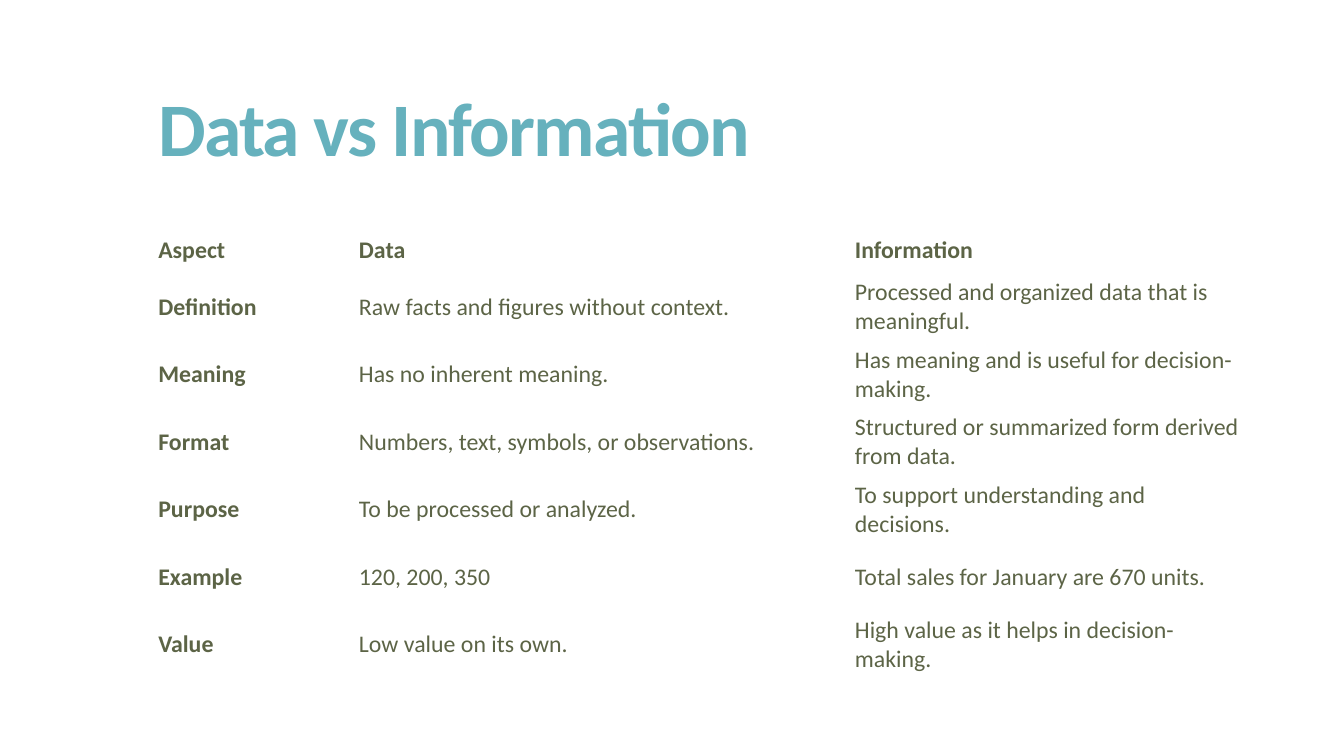
"""Build a slide that compares data with information in a table."""
import dataclasses

import pptx
import pptx.dml.color
import pptx.enum.text
import pptx.util

Inches = pptx.util.Inches


@dataclasses.dataclass(frozen=True)
class Theme:
    font: str = "Calibri"
    title_color: str = "66B1BD"
    text_color: str = "5C6446"
    title_size: int = 54
    text_size: int = 17


theme = Theme()


def write(frame, text, *, size, color, bold=False, line_spacing=None, tracking=None):
    """Put one formatted run into a text frame."""
    para = frame.paragraphs[0]
    para.line_spacing = line_spacing
    span = para.add_run()
    span.text = text
    span.font.name = theme.font
    span.font.size = pptx.util.Pt(size)
    span.font.bold = bold
    span.font.color.rgb = pptx.dml.color.RGBColor.from_string(color)
    if tracking is not None:
        span.font._element.set("spc", str(round(tracking * 100)))


deck = pptx.Presentation()
deck.slide_width = Inches(13.33)
deck.slide_height = Inches(7.5)
page = deck.slides.add_slide(deck.slide_layouts[6])

left = Inches(1.47)
title = page.shapes.add_textbox(left, Inches(0.6), Inches(9.4), Inches(1.44))
title.text_frame.word_wrap = True
title.text_frame.vertical_anchor = pptx.enum.text.MSO_ANCHOR.MIDDLE
write(title.text_frame, "Data vs Information", size=theme.title_size,
      color=theme.title_color, bold=True, line_spacing=0.85, tracking=-1.2)

rows = [
    ("Aspect", "Data", "Information"),
    ("Definition", "Raw facts and figures without context.",
     "Processed and organized data that is meaningful."),
    ("Meaning", "Has no inherent meaning.",
     "Has meaning and is useful for decision-making."),
    ("Format", "Numbers, text, symbols, or observations.",
     "Structured or summarized form derived from data."),
    ("Purpose", "To be processed or analyzed.",
     "To support understanding and decisions."),
    ("Example", "120, 200, 350", "Total sales for January are 670 units."),
    ("Value", "Low value on its own.",
     "High value as it helps in decision-making."),
]
column_widths = [1.99, 4.92, 4.07]
header_height, row_height = 0.46, 0.67

table = page.shapes.add_table(
    len(rows), len(column_widths), left, Inches(2.25), Inches(sum(column_widths)),
    Inches(header_height + row_height * (len(rows) - 1))).table
table.first_row = False
table.horz_banding = False

for column, width in zip(table.columns, column_widths):
    column.width = Inches(width)

for row_index, row in enumerate(rows):
    table.rows[row_index].height = Inches(row_height if row_index else header_height)
    for column_index, text in enumerate(row):
        cell = table.cell(row_index, column_index)
        cell.fill.background()
        cell.vertical_anchor = pptx.enum.text.MSO_ANCHOR.MIDDLE
        write(cell.text_frame, text, size=theme.text_size, color=theme.text_color,
              bold=row_index == 0 or column_index == 0)

deck.save("out.pptx")
